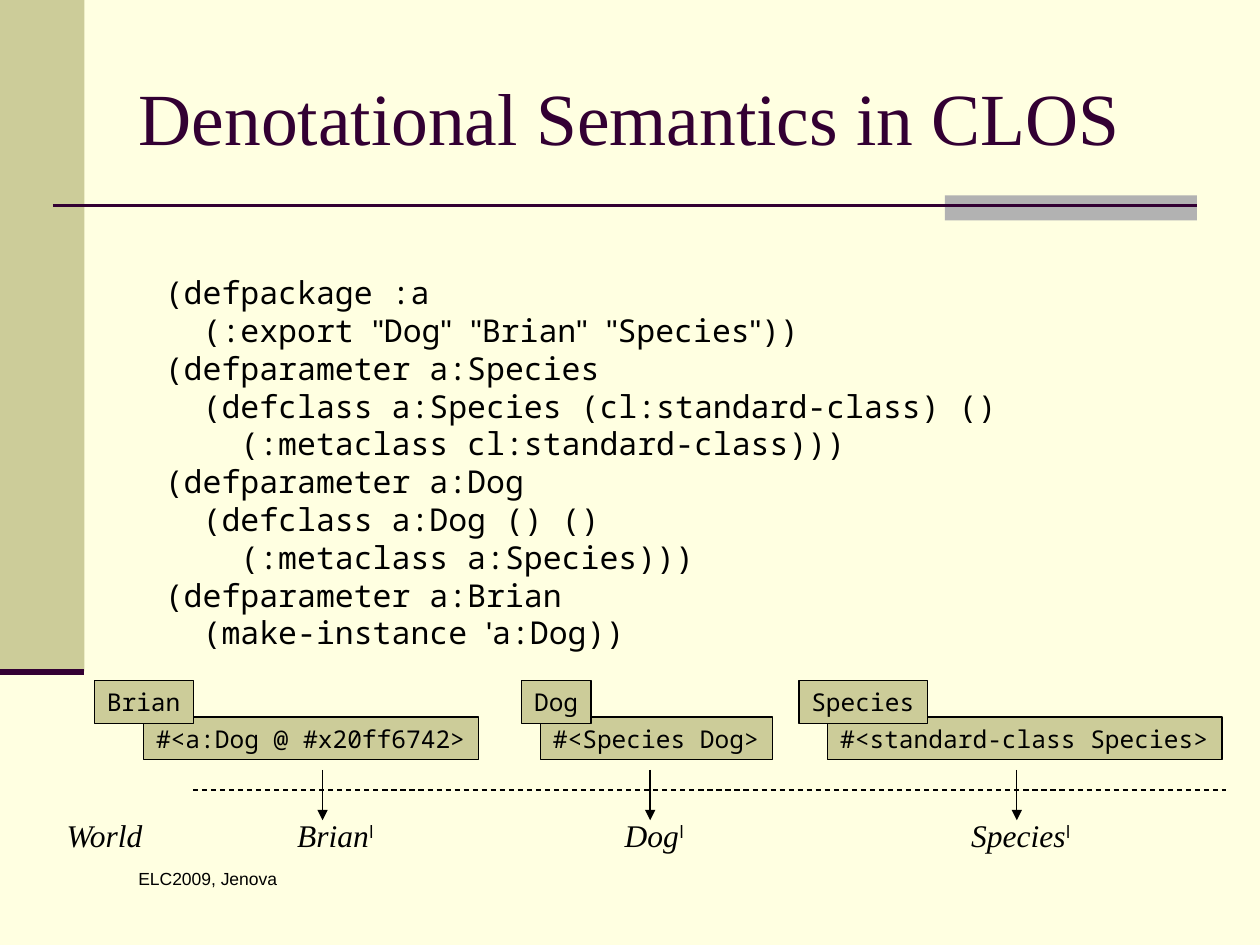
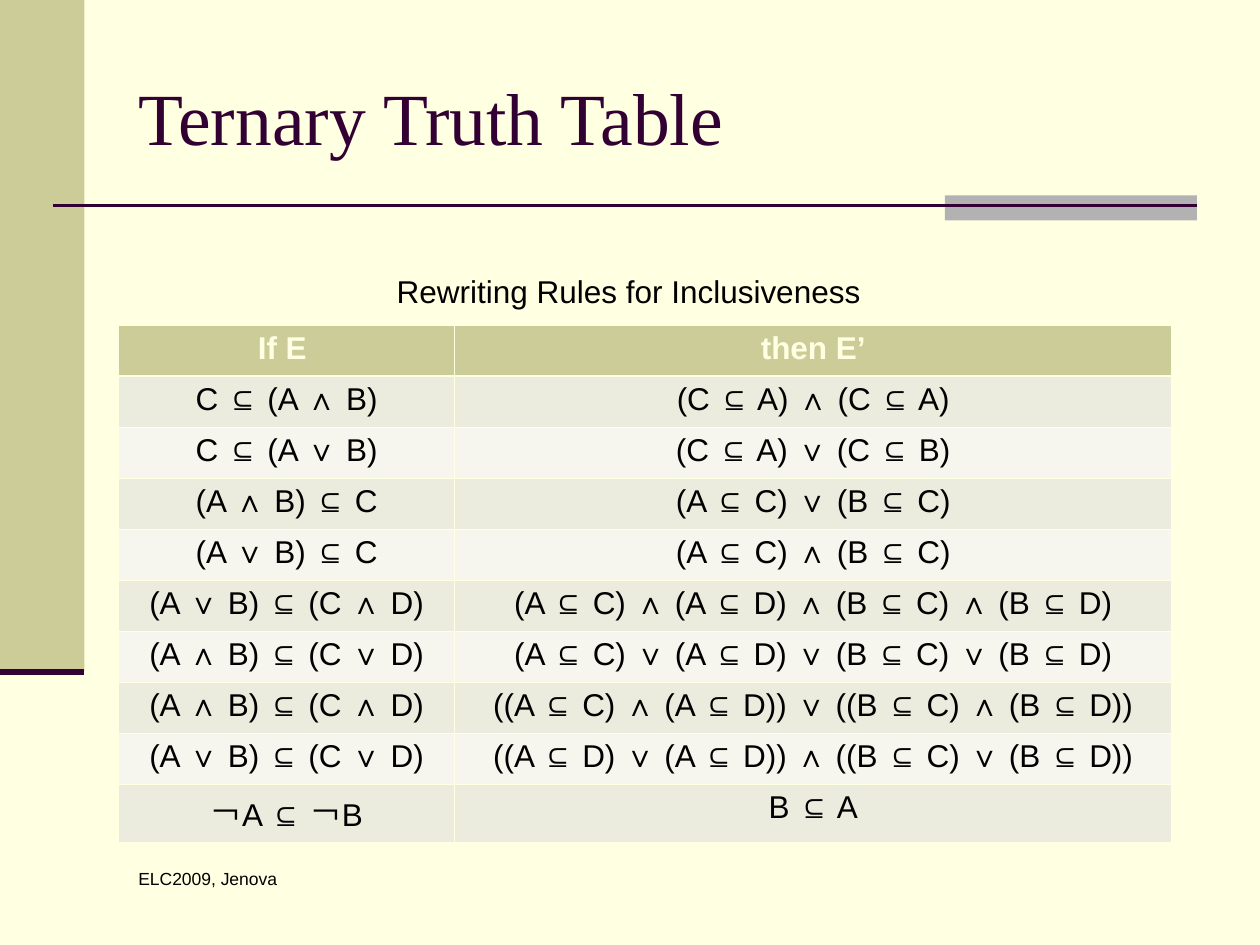
"""Build two lecture slides: denotational semantics in CLOS and a table of rewriting rules."""
from dataclasses import dataclass
from itertools import cycle

from lxml.etree import SubElement
from pptx import Presentation
from pptx.dml.color import RGBColor
from pptx.enum.dml import MSO_LINE
from pptx.enum.shapes import MSO_CONNECTOR, MSO_SHAPE
from pptx.enum.text import MSO_ANCHOR, MSO_AUTO_SIZE, PP_ALIGN
from pptx.oxml.ns import qn
from pptx.oxml.xmlchemy import OxmlElement
from pptx.shapes.autoshape import Shape
from pptx.shapes.connector import Connector
from pptx.slide import Slide
from pptx.table import _Cell
from pptx.text.text import TextFrame, _Paragraph, _Run
from pptx.util import Inches, Pt

CREAM = RGBColor(0xFF, 0xFF, 0xE1)
KHAKI = RGBColor(0xCC, 0xCC, 0x99)
GREY = RGBColor(0xB2, 0xB2, 0xB2)
PLUM = RGBColor(0x33, 0x00, 0x33)
BLACK = RGBColor(0x00, 0x00, 0x00)
DARK_BAND = RGBColor(0xEC, 0xEC, 0xDE)
LIGHT_BAND = RGBColor(0xF6, 0xF6, 0xEF)

SANS, SERIF, MONO, SUPER = "Arial", "Times New Roman", "Noto Sans Mono", "Open Sans"

SLIDE_W, SLIDE_H = Inches(10), Inches(7.5)
COL, ROW = SLIDE_W / 100, SLIDE_H / 75

TAG_Y, VALUE_Y, BOX_H = 54, 56.9, 3.4
ARROW_TOP, ARROW_END, WORLD_LINE_Y = 61.1, 65.1, 62.7
LABEL_Y, LABEL_H = 64.3, 4
RULE_H, NEGATION_H = 4.05, 4.6
THIN, THICK = 0.45, 1.47

CODE = [
    "(defpackage :a",
    '  (:export |"|Dog|"| |"|Brian|"| |"|Species|"|))',
    "(defparameter a:Species",
    "  (defclass a:Species (cl:standard-class) ()",
    "    (:metaclass cl:standard-class)))",
    "(defparameter a:Dog",
    "  (defclass a:Dog () ()",
    "    (:metaclass a:Species)))",
    "(defparameter a:Brian",
    "  (make-instance |'|a:Dog))",
]

RULES = [
    ("If E ", "then E’"),
    ("C ⊆ (A ∧ B)", "(C ⊆ A) ∧ (C ⊆ A)"),
    ("C ⊆ (A ∨ B)", "(C ⊆ A) ∨ (C ⊆ B)"),
    ("(A ∧ B) ⊆ C", "(A ⊆ C) ∨ (B ⊆ C)"),
    ("(A ∨ B) ⊆ C", "(A ⊆ C) ∧ (B ⊆ C)"),
    ("(A ∨ B) ⊆ (C ∧ D)", "(A ⊆ C) ∧ (A ⊆ D) ∧ (B ⊆ C) ∧ (B ⊆ D)"),
    ("(A ∧ B) ⊆ (C ∨ D)", "(A ⊆ C) ∨ (A ⊆ D) ∨ (B ⊆ C) ∨ (B ⊆ D)"),
    ("(A ∧ B) ⊆ (C ∧ D)", "((A ⊆ C) ∧ (A ⊆ D)) ∨ ((B ⊆ C) ∧ (B ⊆ D))"),
    ("(A ∨ B) ⊆ (C ∨ D)", "((A ⊆ D) ∨ (A ⊆ D)) ∧ ((B ⊆ C) ∨ (B ⊆ D))"),
    ("￢A ⊆ ￢B", "B ⊆ A"),
]


@dataclass(frozen=True)
class Area:
    """A rectangle in grid columns and rows."""

    x: float
    y: float
    w: float
    h: float

    def emu(self) -> tuple[int, int, int, int]:
        """Return left, top, width and height in EMU."""
        return int(self.x * COL), int(self.y * ROW), int(self.w * COL), int(self.h * ROW)


@dataclass(frozen=True)
class Denotation:
    """A named CLOS object and the thing it denotes in the world."""

    name: str
    tag_x: float
    tag_w: float
    value: str
    value_x: float
    value_w: float
    arrow_x: float
    label_x: float
    label_w: float


DENOTATIONS = [
    Denotation("Brian", 7.5, 7.85, "#<a:Dog @ #x20ff6742>", 11.4, 26.6, 25.6, 22.6, 8.2),
    Denotation("Dog", 41.4, 5.5, "#<Species Dog>", 42.9, 18.4, 51.6, 48.6, 6.8),
    Denotation("Species", 63.4, 10.2, "#<standard-class Species>", 65.7, 31.3, 80.7, 76.1, 10),
]


def add_run(p: _Paragraph, text: str, font: str, size: float, color: RGBColor = BLACK) -> _Run:
    """Append a formatted run to a paragraph."""
    r = p.add_run()
    r.text = text
    r.font.name = font
    r.font.size = Pt(size)
    r.font.color.rgb = color
    return r


def add_text_box(s: Slide, area: Area) -> TextFrame:
    """Add an unwrapped text box that grows with its text and return its text frame."""
    tf = s.shapes.add_textbox(*area.emu()).text_frame
    tf.word_wrap = False
    tf.auto_size = MSO_AUTO_SIZE.SHAPE_TO_FIT_TEXT
    return tf


def add_block(s: Slide, area: Area, color: RGBColor) -> Shape:
    """Add a filled rectangle without outline or shadow."""
    sp = s.shapes.add_shape(MSO_SHAPE.RECTANGLE, *area.emu())
    sp.shadow.inherit = False
    sp.fill.solid()
    sp.fill.fore_color.rgb = color
    sp.line.fill.background()
    return sp


def add_code_box(s: Slide, area: Area, text: str) -> None:
    """Add an outlined box of fixed size with one line of code."""
    sp = add_block(s, area, KHAKI)
    sp.line.color.rgb = BLACK
    sp.line.width = Pt(0.75)
    tf = sp.text_frame
    tf.word_wrap = True
    tf.auto_size = MSO_AUTO_SIZE.NONE
    tf.margin_right = 0
    p = tf.paragraphs[0]
    p.alignment = PP_ALIGN.LEFT
    add_run(p, text, MONO, 14)


def add_line(s: Slide, x1: float, y1: float, x2: float, y2: float,
             color: RGBColor, width: float) -> Connector:
    """Add a straight line between two grid points."""
    ends = int(x1 * COL), int(y1 * ROW), int(x2 * COL), int(y2 * ROW)
    line = s.shapes.add_connector(MSO_CONNECTOR.STRAIGHT, *ends)
    line.line.color.rgb = color
    line.line.width = Pt(width)
    SubElement(line._element.spPr, qn("a:effectLst"))
    return line


def add_arrow(s: Slide, x: float) -> None:
    """Add a downward arrow from an object to its denotation."""
    arrow = add_line(s, x, ARROW_TOP, x, ARROW_END, BLACK, 0.75)
    SubElement(arrow.line._get_or_add_ln(), qn("a:tailEnd"), type="triangle")


def add_world_label(s: Slide, x: float, w: float, name: str, mark: str = "") -> None:
    """Add an italic label with an optional superscript mark."""
    p = add_text_box(s, Area(x, LABEL_Y, w, LABEL_H)).paragraphs[0]
    add_run(p, name, SERIF, 18).font.italic = True
    if mark:
        r = add_run(p, mark, SUPER, 18)
        r._r.get_or_add_rPr().set("baseline", "30000")


def add_base_slide(prs: Presentation, title: str) -> Slide:
    """Add a slide with the shared bands, title and footer."""
    s = prs.slides.add_slide(prs.slide_layouts.get_by_name("Title Only"))
    s.background.fill.solid()
    s.background.fill.fore_color.rgb = CREAM
    add_block(s, Area(0, 0, 6.7, 53.3), KHAKI)
    add_block(s, Area(75, 15.5, 20, 2), GREY)
    add_line(s, 4.2, 16.3, 95, 16.3, PLUM, 1.5)
    add_line(s, 0, 53.3, 6.7, 53.3, PLUM, 3.5)

    sp = s.shapes.title
    sp.left, sp.top, sp.width, sp.height = Area(10, 3, 85, 12.5).emu()
    tf = sp.text_frame
    tf.auto_size = MSO_AUTO_SIZE.NONE
    tf.vertical_anchor = MSO_ANCHOR.MIDDLE
    p = tf.paragraphs[0]
    p.alignment = PP_ALIGN.LEFT
    add_run(p, title, SERIF, 42, PLUM)

    tf = s.shapes.add_textbox(*Area(10, 68.4, 21.7, 5).emu()).text_frame
    tf.word_wrap = True
    add_run(tf.paragraphs[0], "ELC2009, Jenova", SANS, 10)
    return s


def add_semantics_slide(prs: Presentation) -> None:
    """Add the slide with CLOS code and its denotations."""
    s = add_base_slide(prs, "Denotational Semantics in CLOS")
    tf = add_text_box(s, Area(12.1, 21.2, 68.2, 31))
    for i, code_line in enumerate(CODE):
        p = tf.add_paragraph() if i else tf.paragraphs[0]
        for text, font in zip(code_line.split("|"), cycle((MONO, SANS))):
            add_run(p, text, font, 18)

    world_line = add_line(s, 15.3, WORLD_LINE_Y, 97.3, WORLD_LINE_Y, BLACK, 0.75)
    world_line.line.dash_style = MSO_LINE.DASH
    add_world_label(s, 4.3, 8.2, "World")
    for d in DENOTATIONS:
        add_code_box(s, Area(d.value_x, VALUE_Y, d.value_w, BOX_H), d.value)
        add_code_box(s, Area(d.tag_x, TAG_Y, d.tag_w, BOX_H), d.name)
        add_world_label(s, d.label_x, d.label_w, d.name, "I")
        add_arrow(s, d.arrow_x)


def set_borders(cell: _Cell, top: float, bottom: float) -> None:
    """Draw cream borders around a cell, with widths in points."""
    tc_pr = cell._tc.get_or_add_tcPr()
    widths = {"a:lnL": THIN, "a:lnR": THIN, "a:lnT": top, "a:lnB": bottom}
    for i, (tag, width) in enumerate(widths.items()):
        ln = OxmlElement(tag)
        ln.set("w", str(Pt(width)))
        fill = SubElement(ln, qn("a:solidFill"))
        SubElement(fill, qn("a:srgbClr"), val=str(CREAM))
        tc_pr.insert(i, ln)


def add_rules_slide(prs: Presentation) -> None:
    """Add the slide with the table of rewriting rules."""
    s = add_base_slide(prs, "Ternary Truth Table")
    area = Area(9.4, 25.8, 83.6, RULE_H * len(RULES))
    table = s.shapes.add_table(len(RULES), 2, *area.emu()).table
    for column, width in zip(table.columns, (26.7, 56.9)):
        column.width = int(width * COL)
    table.rows[len(RULES) - 1].height = int(NEGATION_H * ROW)
    for i, rule in enumerate(RULES):
        header = i == 0
        band = KHAKI if header else DARK_BAND if i % 2 else LIGHT_BAND
        for cell, text in zip(table.rows[i].cells, rule):
            cell.fill.solid()
            cell.fill.fore_color.rgb = band
            set_borders(cell, THICK if i == 1 else THIN, THICK if header else THIN)
            p = cell.text_frame.paragraphs[0]
            p.alignment = PP_ALIGN.CENTER
            add_run(p, text, SANS, 18, CREAM if header else BLACK).font.bold = header

    tf = add_text_box(s, Area(30.5, 21.1, 38.8, 4))
    add_run(tf.paragraphs[0], "Rewriting Rules for Inclusiveness", SANS, 18)


def main() -> None:
    """Build and save the presentation."""
    prs = Presentation()
    prs.slide_width, prs.slide_height = SLIDE_W, SLIDE_H
    add_semantics_slide(prs)
    add_rules_slide(prs)
    prs.save("out.pptx")


if __name__ == "__main__":
    main()
